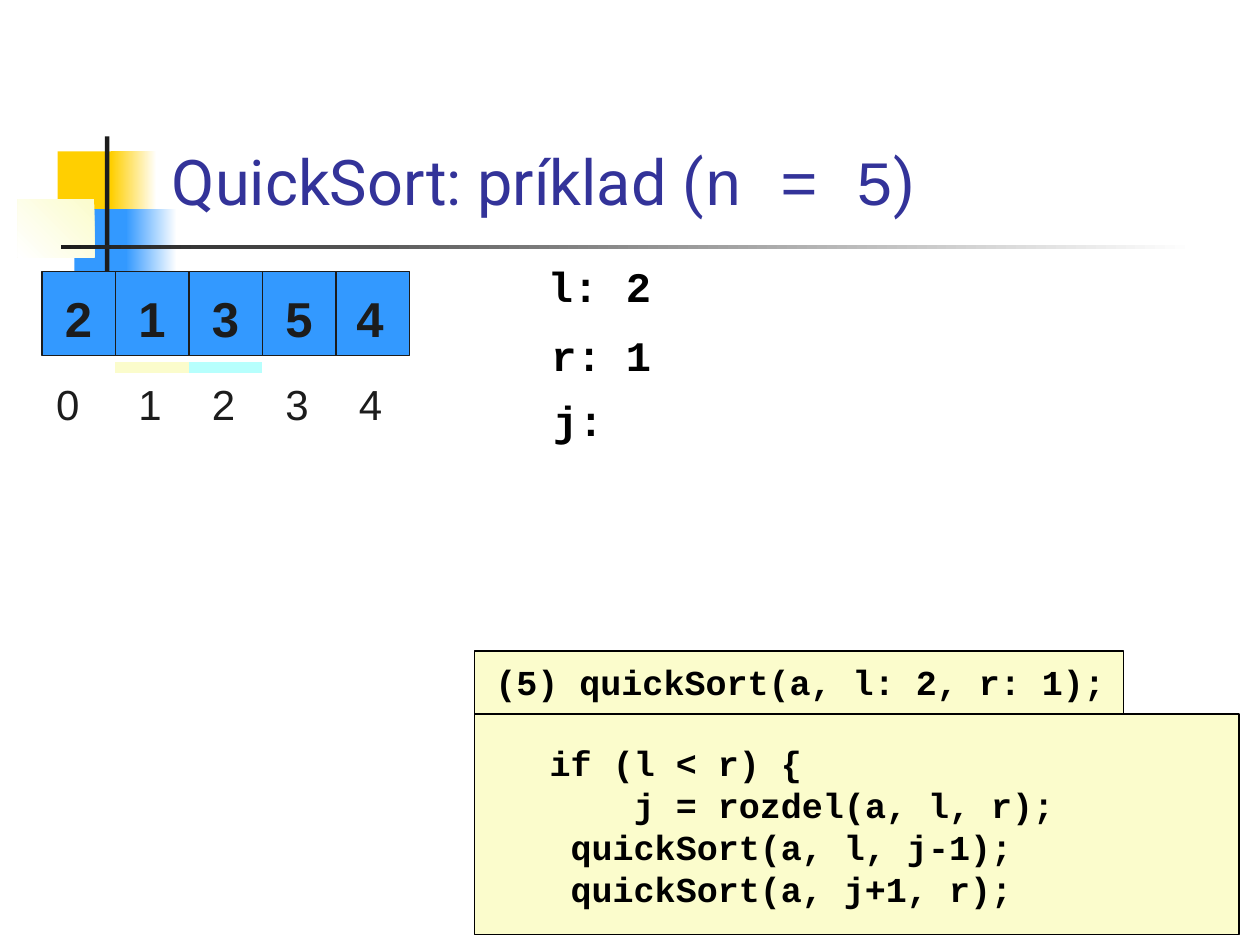
from pptx import Presentation
from pptx.dml.color import RGBColor
from pptx.enum.shapes import MSO_CONNECTOR as Conn, MSO_SHAPE as Shape
from pptx.enum.text import MSO_ANCHOR as Anchor, MSO_AUTO_SIZE as Auto, PP_ALIGN as Align
from pptx.oxml.ns import qn
from pptx.util import Pt
from lxml import etree

WHITE = RGBColor(0xFF, 0xFF, 0xFF)
BLACK = RGBColor(0, 0, 0)
INK = RGBColor(0x1C, 0x1C, 0x1C)
NAVY = RGBColor(0x33, 0x33, 0x99)
BLUE = RGBColor(0x33, 0x99, 0xFF)
GOLD = RGBColor(0xFF, 0xCF, 0x01)
CREAM = RGBColor(0xFB, 0xFC, 0xCC)
AQUA = RGBColor(0xB7, 0xFF, 0xFD)
MONO = "Courier New"

prs = Presentation()
prs.slide_width, prs.slide_height = Pt(720), Pt(540)
slide = prs.slides.add_slide(prs.slide_layouts[5])
shapes = slide.shapes


def add_rect(x, y, w, h, fill, line=None):
    rect = shapes.add_shape(Shape.RECTANGLE, Pt(x), Pt(y), Pt(w), Pt(h))
    rect.shadow.inherit = False
    rect.fill.solid()
    rect.fill.fore_color.rgb = fill
    if line is None:
        rect.line.fill.background()
    else:
        rect.line.color.rgb = line
        rect.line.width = Pt(0.75)
    return rect


def add_text(text, x, y, w, h, size, font=MONO, color=BLACK, bold=True,
             align=Align.LEFT, wrap=True):
    box = shapes.add_textbox(Pt(x), Pt(y), Pt(w), Pt(h))
    frame = box.text_frame
    frame.word_wrap = wrap
    frame.auto_size = Auto.SHAPE_TO_FIT_TEXT
    frame.text = text
    for para in frame.paragraphs:
        para.alignment = align
        para.font.size = Pt(size)
        para.font.name = font
        para.font.bold = bold
        para.font.color.rgb = color


# Corner ornament: solid blocks, and blocks that fade from one colour to another
for x, y, w, h, fill, fade in [
    (33, 86.5, 34.5, 37.5, GOLD, None),
    (63.5, 86.5, 26, 37.5, None, (WHITE, GOLD, 180)),
    (42.5, 119.5, 33, 37.5, BLUE, None),
    (72, 119.5, 29, 37.5, None, (WHITE, BLUE, 180)),
    (10, 114, 44, 33, None, (CREAM, WHITE, 225)),
    (60, 78, 2.5, 83, INK, None),
    (35, 140, 648, 2.5, None, (WHITE, INK, 180)),
]:
    block = add_rect(x, y, w, h, fill or WHITE)
    if fade:
        block.fill.gradient()
        block.fill.gradient_angle = fade[2]
        for stop, color in zip(block.fill.gradient_stops, fade):
            stop.color.rgb = color

# Title, in front of the ornament
title = shapes.title
title.element.getparent().append(title.element)
title.left, title.top, title.width, title.height = Pt(91), Pt(48), Pt(613.5), Pt(80)
frame = title.text_frame
frame.auto_size = Auto.NONE
frame.vertical_anchor = Anchor.BOTTOM
para = frame.paragraphs[0]
para.alignment = Align.LEFT
for text, font in [("QuickSort: príklad (", "Roboto"), ("n = 5", MONO), (")", "Roboto")]:
    run = para.add_run()
    run.text = text
    run.font.name = font
    run.font.size = Pt(36)
    run.font.color.rgb = NAVY

# Array cells with their values and indices
LEFT, STEP = 24, 42
VALUES = [2, 1, 3, 5, 4]
for i in range(len(VALUES)):
    add_rect(LEFT + STEP * i, 155, STEP, 48, BLUE, INK)
for i, (value, x, pos) in enumerate(zip(VALUES, [30, 72, 114, 156, 196.5],
                                        [25, 72, 114, 156, 198])):
    add_text(str(value), x, 161.5, 29.5, 41, 28, "Arial", INK, align=Align.CENTER, wrap=False)
    add_text(str(i), pos, 213, 28, 36, 24, "Arial", INK, bold=False)

# Marks under the cells
for i, color in [(2, AQUA), (1, CREAM)]:
    x = LEFT + STEP * i
    mark = shapes.add_connector(Conn.STRAIGHT, Pt(x), Pt(210), Pt(x + STEP), Pt(210))
    mark.line.color.rgb = color
    mark.line.width = Pt(6)
    etree.SubElement(mark.element.spPr, qn("a:effectLst"))

# Variables
for name, value, x, y in [("l:", "2", 306, 145.5), ("r:", "1", 308, 185), ("j:", "", 309, 222)]:
    add_text(name, x, y, 43, 36, 24, align=Align.CENTER, wrap=name != "j:")
    if value:
        add_text(value, 350.5, y, 29, 36, 24)

# Call and its code
add_rect(271, 408, 437, 126, CREAM, BLACK)
add_text("""  if (l < r) {
      j = rozdel(a, l, r);
\tquickSort(a, l, j-1);
\tquickSort(a, j+1, r);""", 283, 420, 408, 104, 20)
add_rect(271, 372, 371, 36, CREAM, BLACK)
add_text("(5) quickSort(a, l: 2, r: 1);", 276, 374, 363, 31.5, 20, wrap=False)

prs.save("out.pptx")
